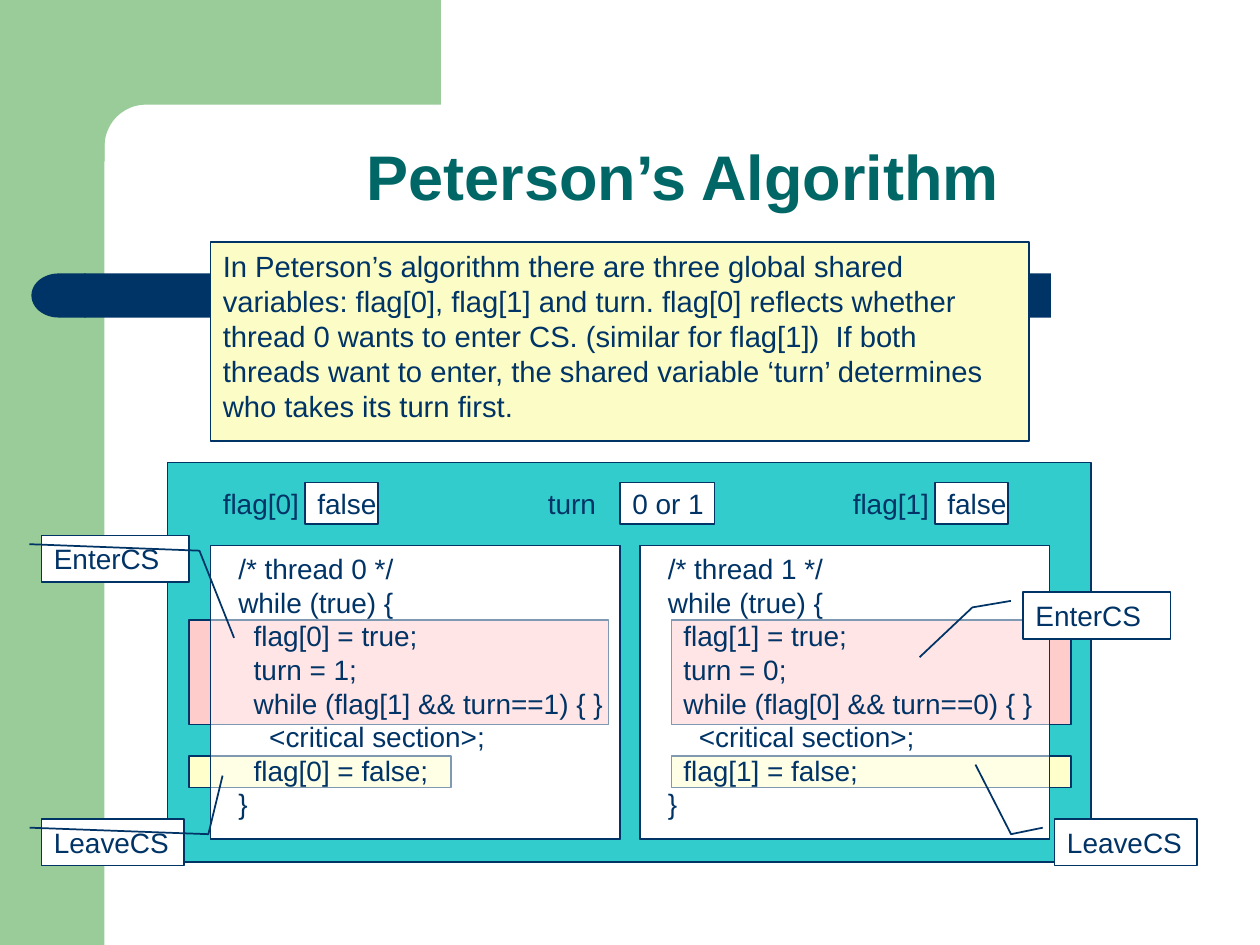
from dataclasses import dataclass
from math import cos, pi, sin

from lxml import etree
from pptx import Presentation
from pptx.dml.color import RGBColor
from pptx.enum.shapes import MSO_SHAPE
from pptx.enum.text import MSO_ANCHOR, MSO_AUTO_SIZE, PP_ALIGN
from pptx.oxml.ns import qn
from pptx.util import Inches, Pt

RECT = MSO_SHAPE.RECTANGLE
ROUND = MSO_SHAPE.ROUNDED_RECTANGLE
DELAY = MSO_SHAPE.FLOWCHART_DELAY
CALLOUT = MSO_SHAPE.LINE_CALLOUT_2
TOP, MIDDLE, BOTTOM = MSO_ANCHOR.TOP, MSO_ANCHOR.MIDDLE, MSO_ANCHOR.BOTTOM
CENTER, LEFT = PP_ALIGN.CENTER, PP_ALIGN.LEFT
FIT = MSO_AUTO_SIZE.SHAPE_TO_FIT_TEXT


@dataclass(frozen=True)
class Theme:
    """Hold the colours, font and type sizes."""
    navy: str = "003366"
    teal: str = "006666"
    green: str = "99CC99"
    aqua: str = "33CCCC"
    white: str = "FFFFFF"
    pink: str = "FFCCCC"
    yellow: str = "FFFFCC"
    cream: str = "FCFDC6"
    font: str = "Arial"
    title: float = 36
    intro: float = 16.7
    body: float = 16


THEME = Theme()
INTRO = (
    "In Peterson’s algorithm there are three global shared variables: flag[0], "
    "flag[1] and turn. flag[0] reflects whether thread 0 wants to enter CS. "
    "(similar for flag[1])  If both threads want to enter, the shared variable "
    "‘turn’ determines who takes its turn first."
)
CODE = """  /* thread {me} */
  while (true) {{
    flag[{me}] = true;
    turn = {other};
    while (flag[{other}] && turn=={other}) {{ }}
      <critical section>;
    flag[{me}] = false;
  }}"""


def paint(shape, fill, line=None):
    """Set the fill and outline of a shape and drop its shadow."""
    shape.shadow.inherit = False
    shape.fill.solid()
    shape.fill.fore_color.rgb = RGBColor.from_string(fill)
    if line:
        shape.line.color.rgb = RGBColor.from_string(line)
        shape.line.width = Pt(1)
    else:
        shape.line.fill.background()


def add_box(slide, area, fill, line=THEME.navy, kind=RECT):
    """Add a painted preset shape."""
    shape = slide.shapes.add_shape(kind, *map(Inches, area))
    paint(shape, fill, line)
    return shape


def add_label(slide, area):
    """Add an empty text box."""
    return slide.shapes.add_textbox(*map(Inches, area))


def write(shape, text, size=THEME.body, color=THEME.navy, bold=False,
          anchor=MIDDLE, align=LEFT, wrap=False):
    """Write text into a shape, one run to a line."""
    frame = shape.text_frame
    frame.word_wrap = wrap
    frame.vertical_anchor = anchor
    para = frame.paragraphs[0]
    para.alignment = align
    for i, line in enumerate(text.split("\n")):
        if i:
            para.add_line_break()
        run = para.add_run()
        run.text = line
        run.font.name = THEME.font
        run.font.size = Pt(size)
        run.font.bold = bold
        run.font.color.rgb = RGBColor.from_string(color)
    return para


def fade(shape, percent):
    """Make a solid fill partly transparent."""
    color = shape.fill._xPr.find(qn("a:solidFill"))[0]
    etree.SubElement(color, qn("a:alpha")).set("val", str(percent * 1000))


def add_corner(slide):
    """Add the green top block with its rounded inner corner."""
    mid, size, steps = 1.16, 0.33, 12
    turns = [pi / 2 * i / steps for i in range(steps + 1)]
    arc = [(mid - size * sin(t), mid - size * cos(t)) for t in turns]
    spots = [(3.5, 0.83), *arc, (0.83, 1.28), (0.5, 1.28), (0.5, 0)]
    form = slide.shapes.build_freeform(Inches(3.5), 0)
    form.add_line_segments([(Inches(x), Inches(y)) for x, y in spots])
    paint(form.convert_to_shape(), THEME.green)


def add_frame(slide):
    """Add the green edge and the navy bar."""
    add_box(slide, (0, 0, 0.83, 7.5), THEME.green, None)
    add_corner(slide)
    bar = add_box(slide, (0.67, 2.17, 7.67, 0.35), THEME.navy, None, ROUND)
    bar.adjustments[0] = 0
    cap = add_box(slide, (0.25, 2.17, 0.43, 0.35), THEME.navy, None, DELAY)
    cap._element.spPr.xfrm.set("flipH", "1")


def add_field(slide, name, left, value, start, width):
    """Add a variable name and its value box."""
    top, high = 3.83, 0.33
    label = add_label(slide, (left, top, 0.75, high))
    label.text_frame.margin_right = 0
    write(label, name)
    write(add_box(slide, (start, top, width, high), THEME.white), value)


def add_thread(slide, me, left, bands):
    """Add a code panel laid over its highlight bands."""
    area = (left, 4.33, 3.25, 2.33)
    add_box(slide, area, THEME.white)
    for start, top, width, high, fill in bands:
        add_box(slide, (start, top, width, high), fill)
    panel = add_box(slide, area, THEME.white)
    fade(panel, 50)
    write(panel, CODE.format(me=me, other=1 - me), anchor=TOP)


def add_callout(slide, text, left, top, width, bend, tip):
    """Add a callout whose line runs through a bend to its tip."""
    box = add_box(slide, (left, top, width, 0.37), THEME.white, kind=CALLOUT)
    for i, value in enumerate((0.188, -0.083, 0.327, bend, *tip)):
        box.adjustments[i] = value
    write(box, text, anchor=TOP, wrap=True)
    box.text_frame.auto_size = FIT


def main():
    """Build the slide and save it."""
    deck = Presentation()
    deck.slide_width, deck.slide_height = Inches(10), Inches(7.5)
    slide = deck.slides.add_slide(deck.slide_layouts[6])
    add_frame(slide)
    title = add_label(slide, (1.25, 0.66, 8.34, 1.09))
    para = write(title, "Peterson’s Algorithm", THEME.title, THEME.teal,
                 True, BOTTOM, CENTER, True)
    para.line_spacing = 0.9

    add_box(slide, (1.33, 3.67, 7.33, 3.17), THEME.aqua)
    for field in (("flag[0]", 1.67, "false", 2.42, 0.58),
                  ("turn", 4.25, "0 or 1", 4.92, 0.75),
                  ("flag[1]", 6.67, "false", 7.42, 0.58)):
        add_field(slide, *field)
    for me, left, start, enter, leave in ((0, 1.67, 1.5, 3.33, 2.08),
                                          (1, 5.08, 5.33, 3.17, 3.17)):
        add_thread(slide, me, left, ((start, 4.92, enter, 0.83, THEME.pink),
                                     (start, 6, leave, 0.25, THEME.yellow)))

    intro = add_box(slide, (1.67, 1.92, 6.5, 1.58), THEME.cream)
    intro.text_frame.margin_right = Inches(0.15)
    write(intro, INTRO, THEME.intro, anchor=TOP, wrap=True)
    for note in (("EnterCS", 8.12, 4.7, 1.17, -0.344, (1.395, -0.702)),
                 ("LeaveCS", 8.37, 6.5, 1.13, -0.306, (-1.165, -0.556)),
                 ("EnterCS", 0.33, 4.25, 1.17, 1.071, (2.195, 1.306)),
                 ("LeaveCS", 0.33, 6.5, 1.13, 1.172, (-0.93, 1.272))):
        add_callout(slide, *note)
    deck.save("out.pptx")


if __name__ == "__main__":
    main()
